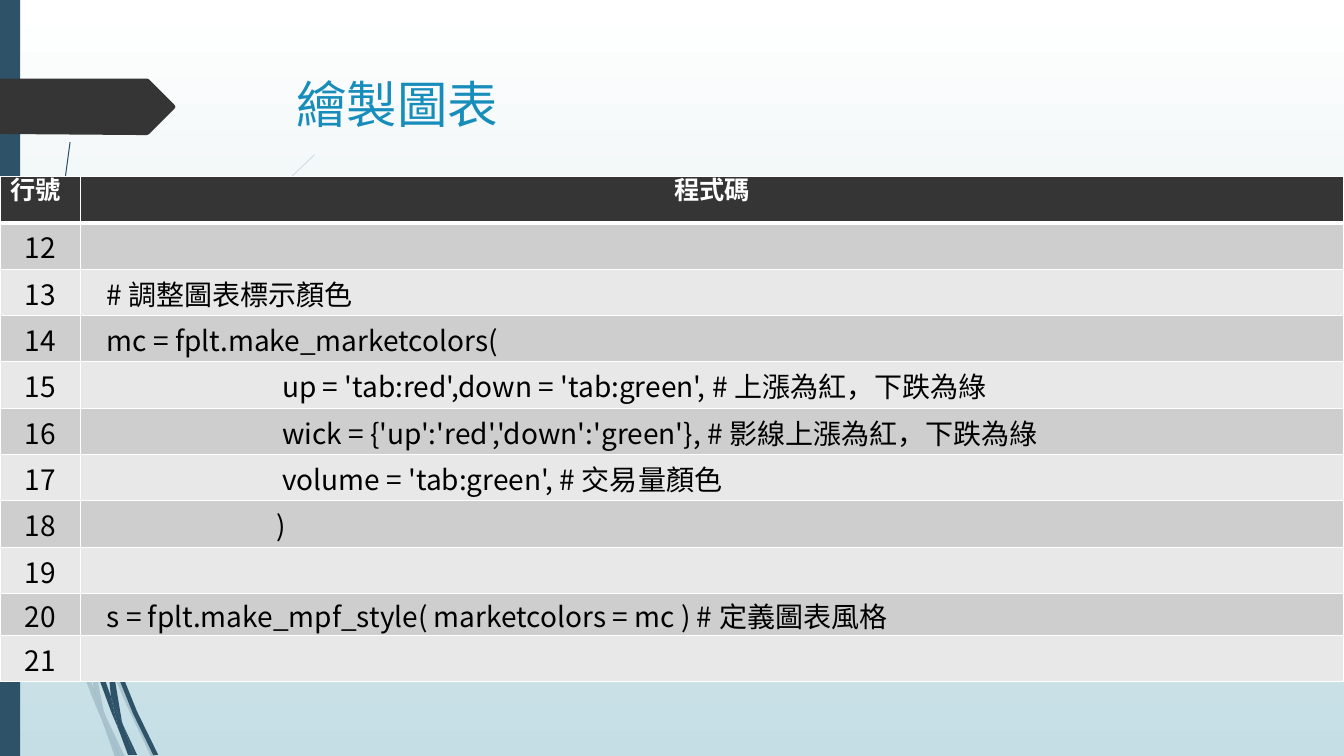
from dataclasses import dataclass

from lxml.etree import SubElement
from pptx import Presentation
from pptx.dml.color import RGBColor
from pptx.enum.shapes import MSO_SHAPE as Preset
from pptx.enum.text import MSO_ANCHOR as Anchor, PP_ALIGN as Align
from pptx.oxml.ns import qn
from pptx.util import Inches, Pt

WIDTH, HEIGHT = 13.33, 7.5
UNIT = Inches(0.01)  # outline points are hundredths of an inch
HEAD_FONT, CODE_FONT = "League Spartan", "Noto Sans CJK SC"
NAVY, CHARCOAL, WHITE = "2E5369", "353535", "FFFFFF"
BANDS = ("CECECE", "E8E8E8")
SPACE = 0.0622  # width of one space in the code font at 20 points


@dataclass(frozen=True)
class Outline:
    """A closed polygon, as x,y pairs in hundredths of an inch."""
    points: str
    color: str = NAVY
    opacity: int = 100


@dataclass(frozen=True)
class CodeLine:
    """A line of the listing and its indent in spaces."""
    text: str = ""
    indent: int = 0


PALE_STRANDS = [Outline(points, opacity=20) for points in (
    "11,350 9,322 0,282 0,299 10,344",
    "58,522 84,599 85,586 62,520 14,345 17,376",
    "92,607 88,596 88,610 123,694 150,751 155,751 127,692",
    "119,751 124,751 105,711",
    "93,683 70,619 31,469 17,376 11,350 28,470 65,621 92,693 101,714 99,707",
    "84,599 87,646 93,683 96,692 105,711 103,706 91,646 88,610 88,608",
    "88,584 110,462 160,349 229,245 268,198 290,175 312,154 312,153 289,175 "
    "268,197 228,244 158,348 107,461 85,584 85,586 88,596",
    "101,714 114,751 119,751",
    "88,608 88,610 88,596 85,586 84,599",
    "96,692 93,683 99,707 101,714 119,751 105,711",
)]
DARK_STRANDS = [Outline(points) for points in (
    "7,110 17,233 33,355 56,477 57,481 55,457 55,453 36,355 19,232 8,109 "
    "5,48 4,0 3,0 4,48",
    "88,592 106,645 106,633 106,631 93,590 60,472 64,505",
    "113,649 110,641 111,656 132,708 152,749 157,749 136,706",
    "110,691 98,657 72,556 64,505 57,477 68,557 93,659 111,708 117,722 116,717",
    "60,472 58,453 54,349 58,245 63,193 70,141 69,141 62,193 56,245 52,349 55,449",
    "133,749 136,749 122,719",
    "57,477 64,505 60,472 55,449 55,453",
    "111,633 125,552 158,476 205,406 231,374 245,359 261,344 260,344 245,358 "
    "231,373 204,405 156,474 122,551 106,631 110,641",
    "117,722 127,749 131,749",
    "106,645 110,691 116,706 122,719 121,716 111,656 109,651",
    "106,645 109,651 111,656 110,641 106,631 106,633",
    "116,706 110,691 116,717 117,722 130,749 133,749 122,719",
)]
PAGE_TAG = Outline("173,108 148,133 146,134 136,134 0,133 0,78 136,78 146,78 "
                   "148,79 173,104 174,106", CHARCOAL)

FIRST_LINE = 12
LISTING = [
    CodeLine(),
    CodeLine("# 調整圖表標示顏色", 4),
    CodeLine("mc = fplt.make_marketcolors(", 4),
    CodeLine("up = 'tab:red',down = 'tab:green', # 上漲為紅，下跌為綠", 32),
    CodeLine("wick = {'up':'red','down':'green'}, # 影線上漲為紅，下跌為綠", 32),
    CodeLine("volume = 'tab:green', # 交易量顏色", 32),
    CodeLine(")", 31),
    CodeLine(),
    CodeLine("s = fplt.make_mpf_style( marketcolors = mc ) # 定義圖表風格", 4),
    CodeLine(),
]


def rgb(value: str) -> RGBColor:
    """Turn a hex string into a colour."""
    return RGBColor.from_string(value)


def paint(shape, color: str, opacity: int = 100) -> None:
    """Give a shape a plain fill with no line and no shadow."""
    shape.shadow.inherit = False
    shape.fill.solid()
    shape.fill.fore_color.rgb = rgb(color)
    shape.line.fill.background()
    if opacity < 100:
        tone = shape.element.spPr.find(qn("a:solidFill"))[0]
        SubElement(tone, qn("a:alpha"), val=str(opacity * 1000))


def draw_outline(shapes, outline: Outline) -> None:
    """Draw one closed polygon."""
    points = [tuple(map(int, pair.split(","))) for pair in outline.points.split()]
    builder = shapes.build_freeform(*points[0], scale=UNIT)
    builder.add_line_segments(points[1:], close=True)
    paint(builder.convert_to_shape(), outline.color, outline.opacity)


def write(frame, text: str, *, font: str, size: int, color: str,
          bold: bool = False, align: Align = Align.LEFT) -> None:
    """Write one formatted paragraph into a text frame."""
    para = frame.paragraphs[0]
    para.alignment = align
    span = para.add_run()
    span.text = text
    span.font.name, span.font.size, span.font.bold = font, Pt(size), bold
    span.font.color.rgb = rgb(color)
    SubElement(span.font._element, qn("a:ea"), typeface=font)


def style_cell(cell, color: str, top: int = 1, bottom: int = 1) -> None:
    """Set the white borders and the fill of a cell."""
    properties = cell._tc.get_or_add_tcPr()
    for side, width in zip("LRTB", (1, 1, top, bottom)):
        line = SubElement(properties, qn(f"a:ln{side}"), w=str(Pt(width)))
        SubElement(SubElement(line, qn("a:solidFill")), qn("a:srgbClr"), val=WHITE)
    cell.fill.solid()
    cell.fill.fore_color.rgb = rgb(color)


def fill_code_cell(cell, text: str, align: Align, indent: int = 0) -> None:
    """Set the insets of a listing cell and write its text."""
    cell.vertical_anchor = Anchor.MIDDLE
    cell.margin_left = Inches(0.01 + indent * SPACE)
    cell.margin_right = cell.margin_top = Inches(0.01)
    cell.margin_bottom = 0
    if text:
        write(cell.text_frame, text, font=CODE_FONT, size=20, color="000000",
              align=align)


def add_listing(page) -> None:
    """Add the table of numbered code lines."""
    number_width = 0.06 * WIDTH
    table = page.shapes.add_table(len(LISTING) + 1, 2, 0, Inches(1.75),
                                  Inches(WIDTH), Inches(5)).table
    table.columns[0].width = Inches(number_width)
    table.columns[1].width = Inches(WIDTH - number_width)
    for row in table.rows:
        row.height = Inches(0.46)
    table.rows[len(LISTING) - 1].height = Inches(0.39)

    for column, (label, align) in enumerate((("行號", Align.LEFT),
                                             ("程式碼", Align.CENTER))):
        cell = table.cell(0, column)
        style_cell(cell, CHARCOAL, bottom=3)
        write(cell.text_frame, label, font=HEAD_FONT, size=18, color=WHITE,
              bold=True, align=align)
    for index, line in enumerate(LISTING):
        number, code = table.rows[index + 1].cells
        for cell in (number, code):
            style_cell(cell, BANDS[index % 2], top=1 if index else 3)
        fill_code_cell(number, str(FIRST_LINE + index), Align.CENTER)
        fill_code_cell(code, line.text, Align.LEFT, line.indent)


def add_backdrop(page) -> None:
    """Add the gradient, the strands, the side bar and the page tag."""
    fill = page.background.fill
    fill.gradient()
    fill.gradient_angle = 270
    for stop, color in zip(fill.gradient_stops, (WHITE, "C5DEE5")):
        stop.color.rgb = rgb(color)
    for strands in (PALE_STRANDS, DARK_STRANDS):
        group = page.shapes.add_group_shape()
        for strand in strands:
            draw_outline(group.shapes, strand)
    bar = page.shapes.add_shape(Preset.RECTANGLE, 0, 0, Inches(0.2), Inches(HEIGHT))
    paint(bar, NAVY)
    draw_outline(page.shapes, PAGE_TAG)


def add_title(page, text: str) -> None:
    """Place the title in front of the backdrop."""
    title = page.shapes.title
    title.element.getparent().append(title.element)
    title.left, title.top = Inches(2.84), Inches(0.68)
    title.width, title.height = Inches(9.75), Inches(1.4)
    title.text_frame.vertical_anchor = Anchor.TOP
    write(title.text_frame, text, font=HEAD_FONT, size=36, color="178DBB")


deck = Presentation()
deck.slide_width, deck.slide_height = Inches(WIDTH), Inches(HEIGHT)
page = deck.slides.add_slide(deck.slide_layouts.get_by_name("Title Only"))
add_backdrop(page)
add_title(page, "繪製圖表")
add_listing(page)
deck.save("out.pptx")
